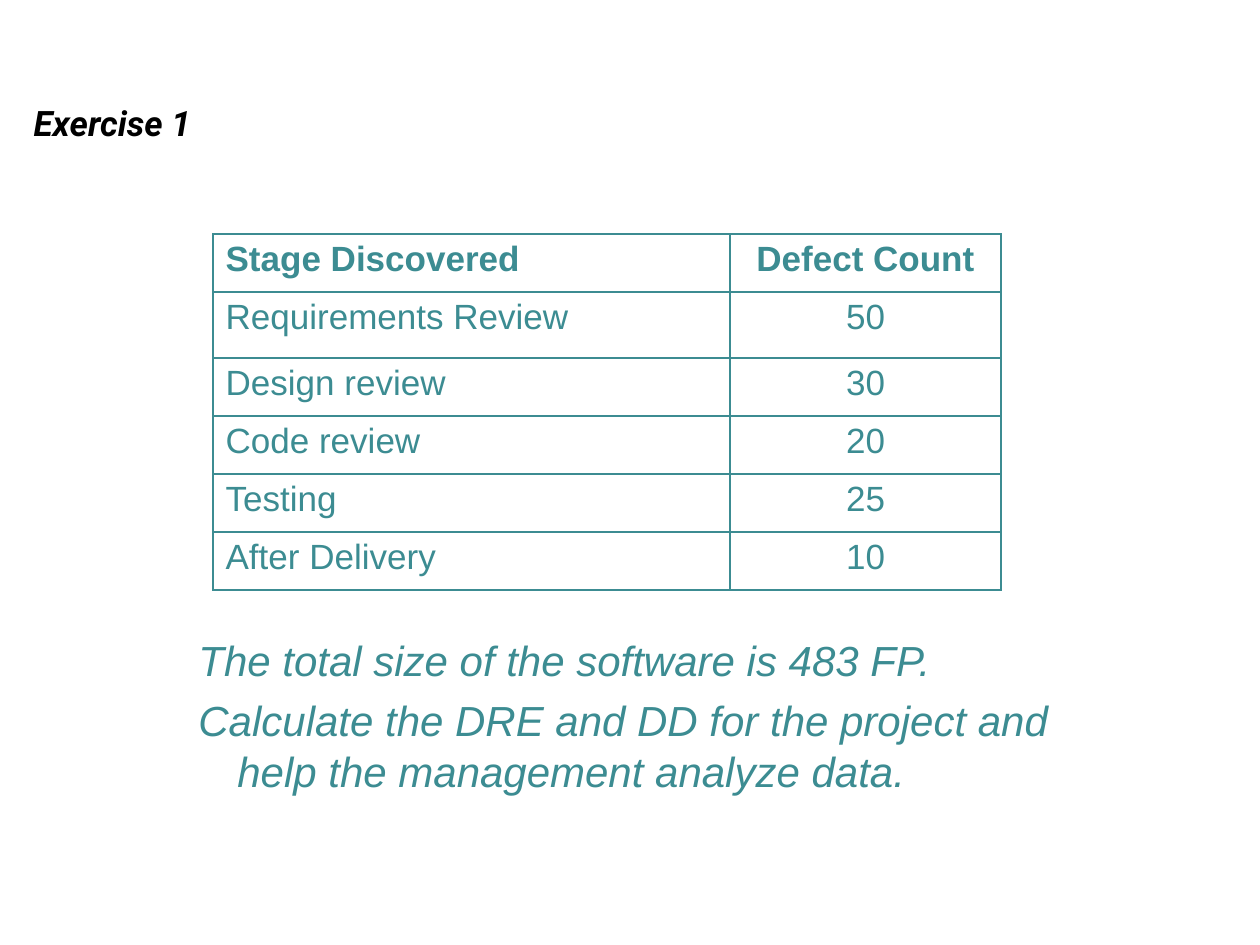
from pptx import Presentation, util as u
from pptx.dml.color import RGBColor
from pptx.enum import text as t
from pptx.oxml import parse_xml
from pptx.oxml.ns import nsdecls

# Content
TITLE = "Exercise 1"
ROWS = [
    ("Stage Discovered", "Defect Count"),
    ("Requirements Review", "50"),
    ("Design review", "30"),
    ("Code review", "20"),
    ("Testing", "25"),
    ("After Delivery", "10"),
]
TASK = [
    "The total size of the software is 483 FP.",
    "Calculate the DRE and DD for the project and help the management analyze data.",
]

# Layout in px
SLIDE = (1260, 945)
TITLE_BOX = (21, 95, 1144, 54)
TABLE_AT = (213, 234)
COLS = (517, 271)
HEIGHTS = (58, 66, 58, 58, 58, 58)
TASK_BOX = (123, 628, 1008, 180)
INDENT, HANG, GAP = 102, 39, 10

THEME = {
    "teal": "3C8C92", "black": "000000",
    "head": "Roboto", "body": "Arial",
    "title": 20, "cell": 20, "task": 24, "line": 1,
}


def px(n):
    return u.Emu(round(n * 914400 / 126))


def style(par, face, size, color, bold=False, italic=False):
    for run in par.runs:
        font = run.font
        font.name, font.size = face, u.Pt(size)
        font.bold, font.italic = bold, italic
        font.color.rgb = RGBColor.from_string(color)


def border(cell):
    props = cell._tc.get_or_add_tcPr()
    for i, side in enumerate(("lnL", "lnR", "lnT", "lnB")):
        props.insert(i, parse_xml(
            f'<a:{side} {nsdecls("a")} w="{u.Pt(THEME["line"])}"><a:solidFill>'
            f'<a:srgbClr val="{THEME["teal"]}"/></a:solidFill></a:{side}>'))


def add_title(slide):
    title = slide.shapes.title
    title.left, title.top, title.width, title.height = map(px, TITLE_BOX)
    frame = title.text_frame
    frame.text = TITLE
    frame.vertical_anchor = t.MSO_ANCHOR.MIDDLE
    par = frame.paragraphs[0]
    par.alignment = t.PP_ALIGN.LEFT
    style(par, THEME["head"], THEME["title"], THEME["black"], True, True)


def add_defects(slide):
    size = (sum(COLS), sum(HEIGHTS))
    table = slide.shapes.add_table(
        len(ROWS), len(COLS), *map(px, TABLE_AT + size)).table
    table.horz_banding = False
    for col, width in zip(table.columns, COLS):
        col.width = px(width)
    for r, (row, height) in enumerate(zip(ROWS, HEIGHTS)):
        table.rows[r].height = px(height)
        for c, value in enumerate(row):
            cell = table.cell(r, c)
            cell.fill.background()
            border(cell)
            par = cell.text_frame.paragraphs[0]
            par.text = value
            par.alignment = t.PP_ALIGN.CENTER if c else t.PP_ALIGN.LEFT
            style(par, THEME["body"], THEME["cell"], THEME["teal"], r == 0)


def add_task(slide):
    frame = slide.shapes.add_textbox(*map(px, TASK_BOX)).text_frame
    frame.word_wrap = True
    frame.text = "\n".join(TASK)
    for i, par in enumerate(frame.paragraphs):
        # Hanging indent
        props = par._p.get_or_add_pPr()
        props.set("marL", str(px(INDENT)))
        props.set("indent", str(-px(HANG)))
        par.space_before = px(GAP if i else 0)
        style(par, THEME["body"], THEME["task"], THEME["teal"], italic=True)


def main():
    deck = Presentation()
    deck.slide_width, deck.slide_height = map(px, SLIDE)
    slide = deck.slides.add_slide(deck.slide_layouts[5])
    add_title(slide)
    add_task(slide)
    add_defects(slide)
    deck.save("out.pptx")


if __name__ == "__main__":
    main()
